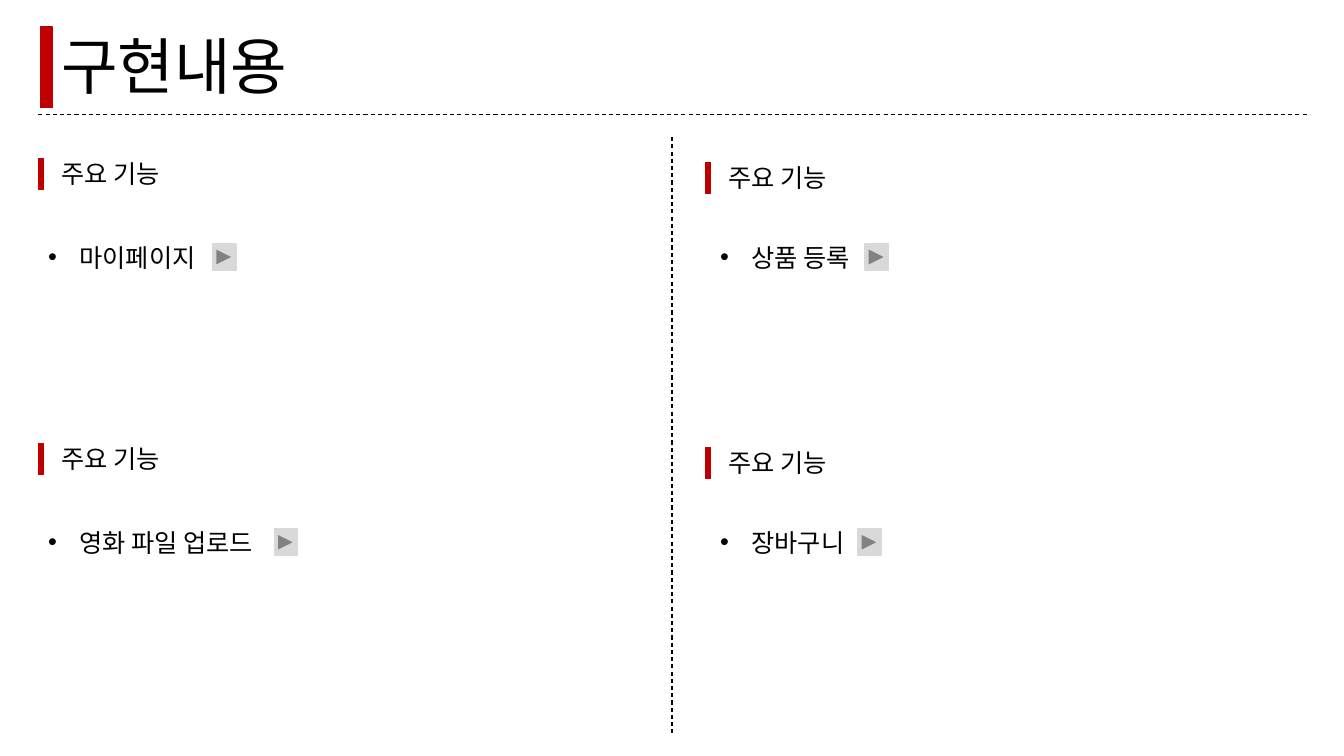
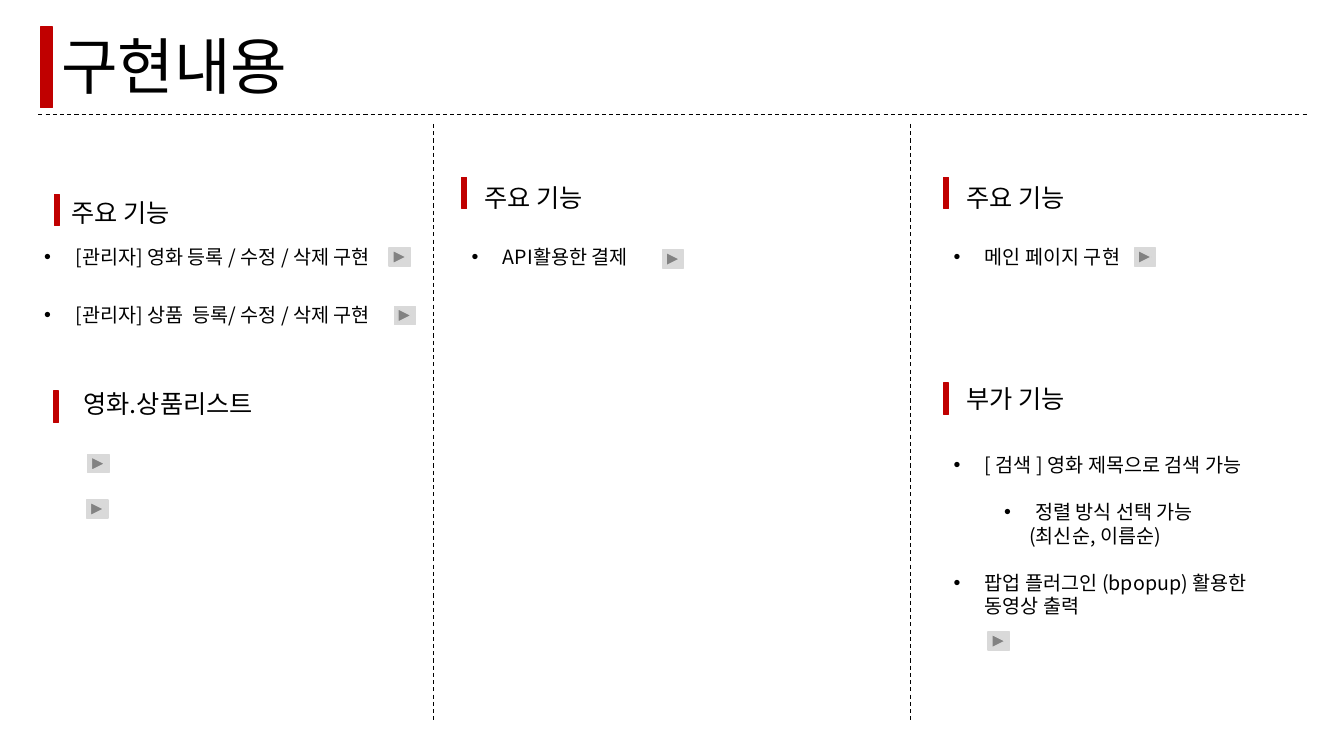
from lxml.etree import SubElement
from pptx import Presentation
from pptx.dml.color import RGBColor
from pptx.enum.dml import MSO_LINE
from pptx.enum.shapes import MSO_CONNECTOR, MSO_SHAPE
from pptx.enum.text import MSO_ANCHOR
from pptx.oxml.ns import qn
from pptx.util import Inches, Pt

COLORS = {"accent": "C00000", "button": "D9D9D9", "ink": "000000"}
FONT = "Noto Sans CJK KR"
WIDTH, HEIGHT = 13.33, 7.5
HANG = 0.31
BAR_SIZE = (0.05, 0.31)
TITLE_TOP, TITLE_HEIGHT = 0.27, 0.8
RULE_LEFT, RULE_RIGHT, RULE_Y = 0.38, 12.97, 1.14
DIVIDER_LENGTH = 5.93


def add_block(slide, preset, box, color):
    block = slide.shapes.add_shape(preset, *map(Inches, box))
    block.shadow.inherit = False
    block.fill.solid()
    block.fill.fore_color.rgb = RGBColor.from_string(COLORS[color])
    block.line.color.rgb = RGBColor.from_string(COLORS[color])
    block.line.width = Pt(1)


def add_text(slide, box, lines, size):
    """Each line is (text, left margin, bulleted, space before in points)."""
    frame = slide.shapes.add_textbox(*map(Inches, box)).text_frame
    frame.word_wrap = True
    for number, (text, margin, bulleted, gap) in enumerate(lines):
        paragraph = frame.add_paragraph() if number else frame.paragraphs[0]
        paragraph.text = text
        properties = paragraph._p.get_or_add_pPr()
        properties.set("marL", str(Inches(margin)))
        properties.set("indent", str(Inches(-HANG if bulleted else 0)))
        if bulleted:
            SubElement(properties, qn("a:buFont"), typeface="Arial")
            SubElement(properties, qn("a:buChar"), char="•")
        if gap:
            paragraph.space_before = Pt(gap)
        paragraph.font.size = Pt(size)
        paragraph.font.color.rgb = RGBColor.from_string(COLORS["ink"])
        paragraph.font.name = FONT
        SubElement(properties.find(qn("a:defRPr")), qn("a:ea"), typeface=FONT)
    return frame


# Two columns by two rows: (column, row, feature, button left)
features = [
    (0, 0, "마이페이지", 2.11),
    (1, 0, "상품 등록", 8.58),
    (0, 1, "영화 파일 업로드", 2.72),
    (1, 1, "장바구니", 8.51),
]
column_width, row_height = WIDTH / 2, 2.83
heading_lefts, heading_tops = (0.38, 7), (1.57, 1.61)

overview = {
    "dividers": [column_width],
    "divider_top": 1.36,
    "size": 18,
    "list_width": 5.91,
    "button_size": (0.23, 0.26),
    "headings": [], "lists": [], "buttons": [],
}
for column, row, feature, button_left in features:
    drop = row * row_height
    left, top = heading_lefts[column], heading_tops[column] + drop
    overview["headings"].append(("주요 기능", left, top, left + 0.13, top - 0.05))
    overview["lists"].append((0.38 + column * column_width, 2.35 + drop, 0.4,
                              [(feature, HANG, True, 0)]))
    overview["buttons"].append((button_left, 2.42 + drop))

# Three columns: administration, payment, main page
admin, payment, main_page = 0.34, 4.58, 9.36
list_top = 2.38
details = {
    "dividers": [4.3, 9.03],
    "divider_top": 1.23,
    "size": 14,
    "list_width": 3.68,
    "button_size": (0.21, 0.18),
    # (text, bar left, bar top, text left, text top)
    "headings": [
        ("주요 기능", 0.54, 1.93, 0.61, 1.91),
        ("영화.상품리스트", 0.53, 3.88, 0.73, 3.8),
        ("주요 기능", payment, 1.76, payment + 0.13, 1.76),
        ("주요 기능", main_page, 1.76, main_page + 0.13, 1.76),
        ("부가 기능", main_page, 3.8, main_page + 0.13, 3.75),
    ],
    "lists": [
        (admin, list_top, 0.34, [("[관리자] 영화 등록 / 수정 / 삭제 구현", HANG, True, 0)]),
        (admin, 2.96, 0.34, [("[관리자] 상품  등록/ 수정 / 삭제 구현", HANG, True, 0)]),
        (payment, list_top, 0.34, [("API활용한 결제", HANG, True, 0)]),
        (main_page, list_top, 0.34, [("메인 페이지 구현", HANG, True, 0)]),
        (main_page, 4.44, 1.75, [
            ("[ 검색 ] 영화 제목으로 검색 가능", HANG, True, 0),
            ("정렬 방식 선택 가능", 0.5 + HANG, True, 17),
            ("(최신순, 이름순)", 0.75, False, 0),
            ("팝업 플러그인 (bpopup) 활용한 동영상 출력", HANG, True, 17),
        ]),
    ],
    "buttons": [(3.86, 2.46), (3.91, 3.04), (0.87, 4.51), (0.86, 4.96),
                (6.57, 2.48), (11.25, 2.46), (9.8, 6.27)],
}

deck = Presentation()
deck.slide_width, deck.slide_height = Inches(WIDTH), Inches(HEIGHT)

for content in (overview, details):
    slide = deck.slides.add_slide(deck.slide_layouts[6])

    divider_top = content["divider_top"]
    rules = [(RULE_LEFT, RULE_Y, RULE_RIGHT, RULE_Y)]
    rules += [(x, divider_top, x, divider_top + DIVIDER_LENGTH) for x in content["dividers"]]
    for ends in rules:
        rule = slide.shapes.add_connector(MSO_CONNECTOR.STRAIGHT, *map(Inches, ends))
        rule.line.color.rgb = RGBColor.from_string(COLORS["ink"])
        rule.line.width = Pt(0.75)
        rule.line.dash_style = MSO_LINE.DASH
        SubElement(rule._element.spPr, qn("a:effectLst"))

    for heading, bar_left, bar_top, left, top in content["headings"]:
        add_block(slide, MSO_SHAPE.RECTANGLE, (bar_left, bar_top, *BAR_SIZE), "accent")
        add_text(slide, (left, top, 2.23, 0.4), [(heading, 0, False, 0)], 18)

    for left, top, height, lines in content["lists"]:
        add_text(slide, (left, top, content["list_width"], height), lines, content["size"])

    for corner in content["buttons"]:
        add_block(slide, MSO_SHAPE.ACTION_BUTTON_FORWARD_OR_NEXT,
                  (*corner, *content["button_size"]), "button")

    title = add_text(slide, (0.51, TITLE_TOP, 10, TITLE_HEIGHT), [("구현내용", 0, False, 0)], 43.9)
    title.vertical_anchor = MSO_ANCHOR.BOTTOM
    title.paragraphs[0].line_spacing = 0.9
    add_block(slide, MSO_SHAPE.RECTANGLE, (0.4, TITLE_TOP, 0.12, TITLE_HEIGHT), "accent")

deck.save("out.pptx")
